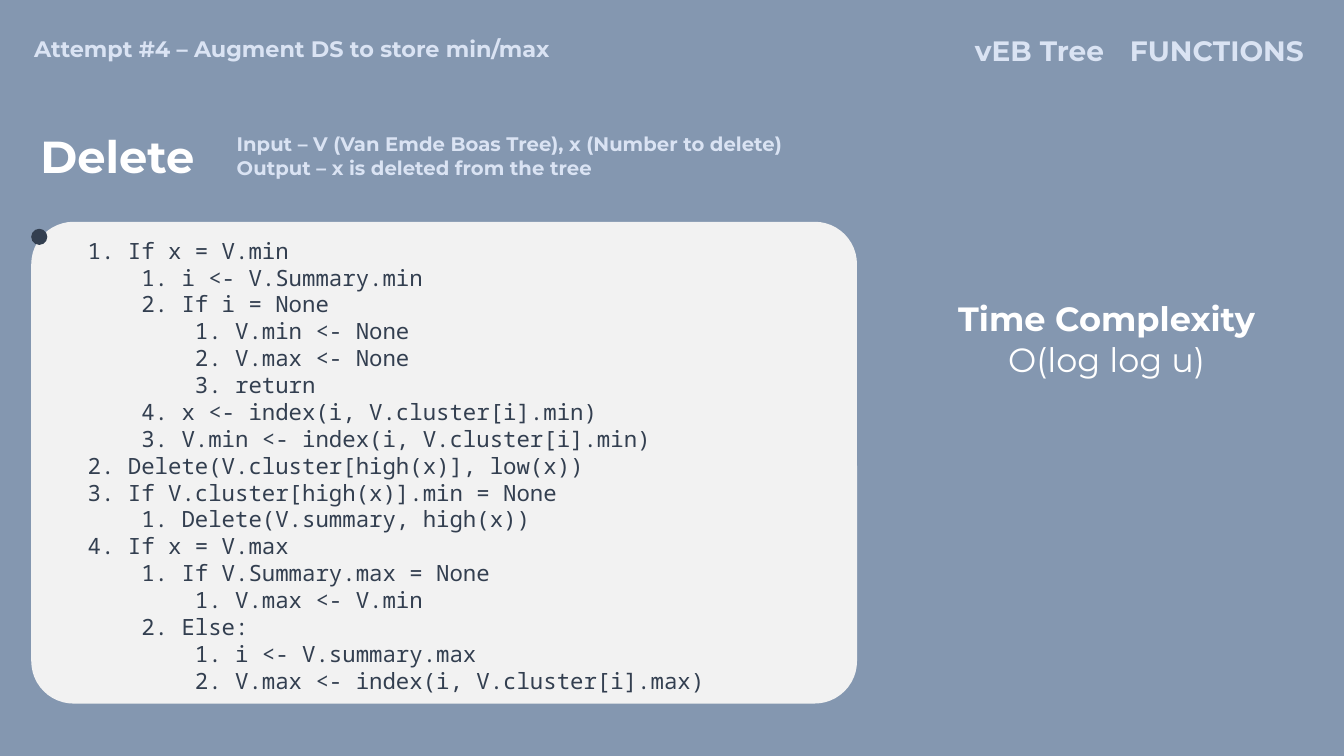
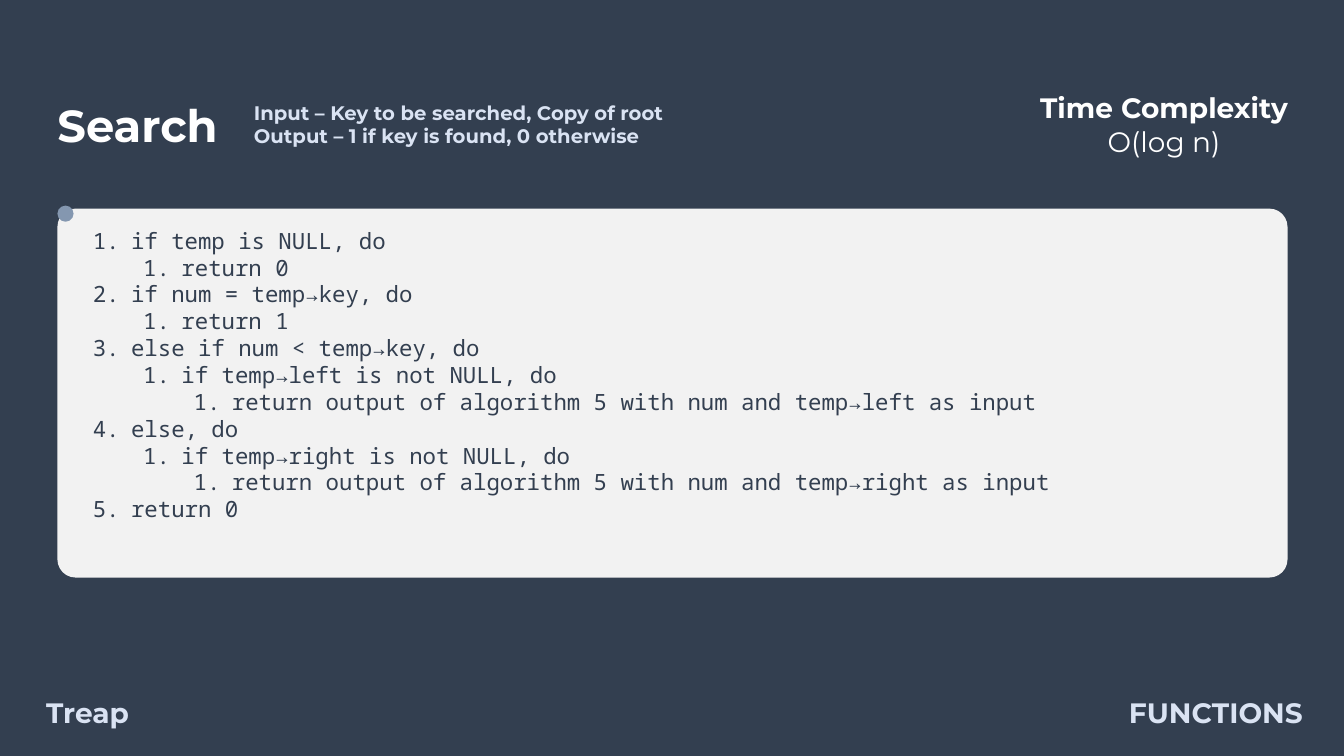
"""Build two slides of tree function pseudocode."""
from lxml import etree
from pptx import Presentation
from pptx.dml.color import RGBColor
from pptx.enum.shapes import MSO_SHAPE
from pptx.enum.text import MSO_ANCHOR, MSO_AUTO_SIZE, PP_ALIGN
from pptx.oxml.ns import qn
from pptx.util import Inches, Pt

LEFT, MID, RIGHT = PP_ALIGN.LEFT, PP_ALIGN.CENTER, PP_ALIGN.RIGHT
TOP, FIXED = MSO_ANCHOR.TOP, MSO_AUTO_SIZE.NONE
ROUND, OVAL = MSO_SHAPE.ROUNDED_RECTANGLE, MSO_SHAPE.OVAL
SANS, MONO = "Montserrat", "Noto Sans Mono"
WHITE, PALE, CARD, BLUE, NAVY = "FFFFFF", "DAE3F3", "F2F2F2", "8497B0", "333F50"
STEP = 0.38


def paint(fill, tone):
    """Give a fill one solid colour."""
    fill.solid()
    fill.fore_color.rgb = RGBColor.from_string(tone)


def write(shape, box, lines, size, tone=PALE, align=LEFT, face=SANS, count=None):
    """Place a shape and set its lines, with numbers when count is given."""
    shape.left, shape.top, shape.width, shape.height = map(Inches, box)
    frame = shape.text_frame
    frame.word_wrap, frame.auto_size, frame.vertical_anchor = True, FIXED, TOP
    frame.text = "\n".join(lines)
    for i, para in enumerate(frame.paragraphs):
        para.alignment = align
        para.space_before = Pt(0)
        props = para._p.get_or_add_pPr()
        if count:
            para.level = count[i]
            props.set("marL", str(Inches(STEP + count[i] / 2)))
            props.set("indent", str(-Inches(STEP)))
            mark = etree.SubElement(props, qn("a:buAutoNum"))
            mark.set("type", "arabicPeriod")
        else:
            props.set("marL", "0")
            props.set("indent", "0")
            etree.SubElement(props, qn("a:buNone"))
        font = para.font
        font.name, font.size, font.bold = face, Pt(size), face == SANS
        font.color.rgb = RGBColor.from_string(tone)


DELETE = """1. If x = V.min
    1. i <- V.Summary.min
    2. If i = None
        1. V.min <- None
        2. V.max <- None
        3. return
    4. x <- index(i, V.cluster[i].min)
    3. V.min <- index(i, V.cluster[i].min)
2. Delete(V.cluster[high(x)], low(x))
3. If V.cluster[high(x)].min = None
    1. Delete(V.summary, high(x))
4. If x = V.max
    1. If V.Summary.max = None
        1. V.max <- V.min
    2. Else:
        1. i <- V.summary.max
        2. V.max <- index(i, V.cluster[i].max)""".split("\n")

SEARCH = [
    "if temp is NULL, do",
    "return 0",
    "if num = temp→key, do",
    "return 1",
    "else if num < temp→key, do",
    "if temp→left is not NULL, do",
    "return output of algorithm 5 with num and temp→left as input",
    "else, do",
    "if temp→right is not NULL, do",
    "return output of algorithm 5 with num and temp→right as input",
    "return 0",
]

PAGES = [
    dict(
        back=BLUE, dot=NAVY, name="Delete", head=(0.3, 1.23),
        about=["Input – V (Van Emde Boas Tree), x (Number to delete)",
               "Output – x is deleted from the tree"],
        cost="O(log log u)", room=(8.93, 2.91, 4.09, 0.91), size=24,
        tags=[("vEB Tree", (9.57, 0.28, 1.49, 0.44), 20, LEFT),
              ("FUNCTIONS", (11.01, 0.28, 2.02, 0.44), 20, RIGHT),
              ("Attempt #4 – Augment DS to store min/max",
               (0.24, 0.3, 6, 0.37), 16, LEFT)],
        card=(0.31, 2.2, 8.19, 4.78), bend=0.088, spot=2.27,
        code=DELETE, area=(0.77, 2.3, 7.08, 4.68), count=None,
    ),
    dict(
        back=NAVY, dot=BLUE, name="Search", head=(0.47, 0.92),
        about=["Input – Key to be searched, Copy of root",
               "Output – 1 if key is found, 0 otherwise"],
        cost="O(log n)", room=(9.5, 0.85, 4.09, 0.77), size=20,
        tags=[("Treap", (0.36, 6.85, 1.49, 0.44), 20, LEFT),
              ("FUNCTIONS", (11, 6.85, 2.02, 0.44), 20, RIGHT)],
        card=(0.57, 2.07, 12.2, 3.66), bend=0.049, spot=2.04,
        code=SEARCH, area=(0.82, 2.2, 11.75, 3.06),
        count=[0, 1, 0, 1, 0, 1, 2, 0, 1, 2, 0],
    ),
]

deck = Presentation()
deck.slide_width, deck.slide_height = Inches(13.33), Inches(7.5)

for page in PAGES:
    slide = deck.slides.add_slide(deck.slide_layouts[1])
    paint(slide.background.fill, page["back"])
    shapes = slide.shapes
    x, y = page["head"]
    write(shapes.title, (x, y, 3.73, 0.64), [page["name"]], 32, WHITE)

    about = shapes.add_textbox(0, 0, 0, 0)
    write(about, (x + 1.95, y + 0.03, 7.47, 0.57), page["about"], 14)

    cost = shapes.add_textbox(0, 0, 0, 0)
    lines = ["Time Complexity", page["cost"]]
    write(cost, page["room"], lines, page["size"], WHITE, MID)
    cost.text_frame.paragraphs[1].font.bold = False

    for text, box, size, align in page["tags"]:
        write(shapes.add_textbox(0, 0, 0, 0), box, [text], size, PALE, align)

    card = shapes.add_shape(ROUND, *map(Inches, page["card"]))
    card.adjustments[0] = page["bend"]
    spot = (page["card"][0], page["spot"], 0.16, 0.16)
    dot = shapes.add_shape(OVAL, *map(Inches, spot))
    for shape, tone in ((card, CARD), (dot, page["dot"])):
        paint(shape.fill, tone)
        shape.line.fill.background()
        shape.shadow.inherit = False

    body = slide.placeholders[1]
    write(body, page["area"], page["code"], 16, NAVY, LEFT, MONO, page["count"])
    dot.element.addnext(body.element)

deck.save("out.pptx")
